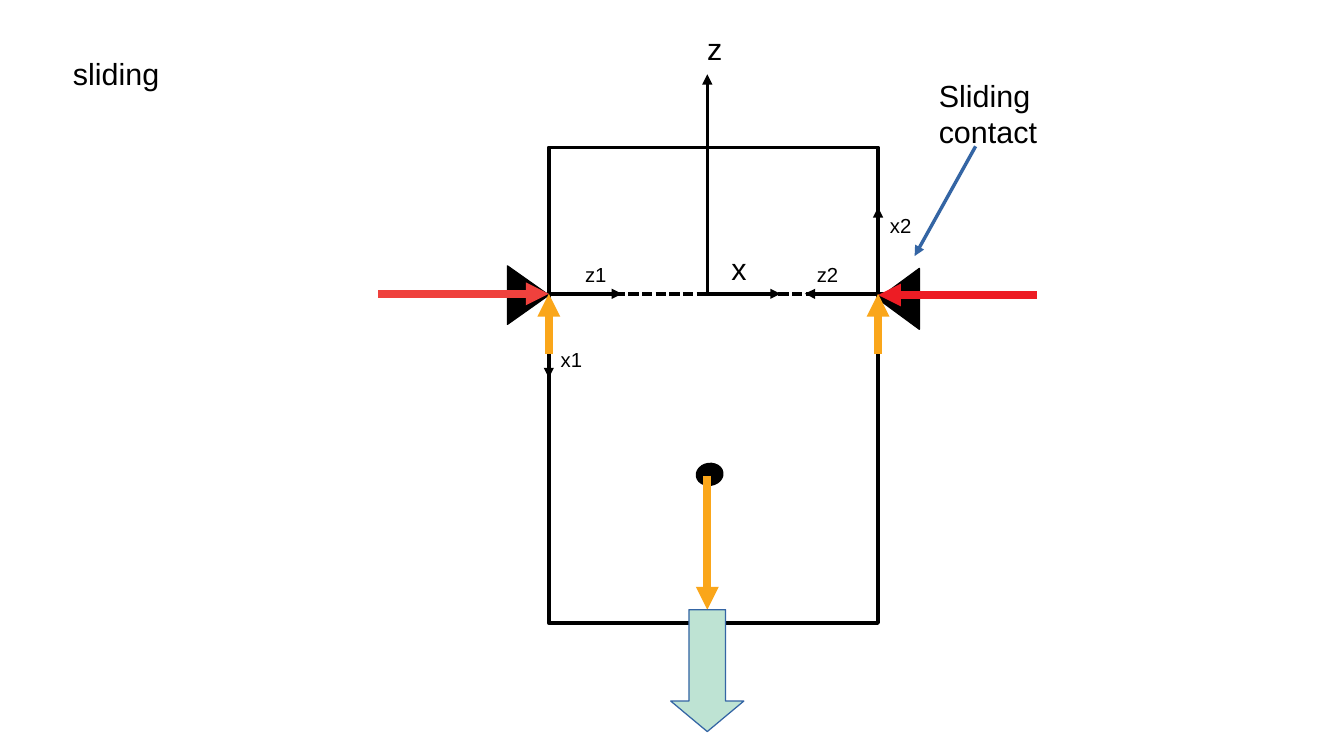
from pptx import Presentation
from pptx.dml.color import RGBColor
from pptx.enum import dml, shapes, text
from pptx.oxml import ns
from pptx.util import Pt
from lxml import etree

# Key places, in points
LEFT, MID, RIGHT = 324, 417.6, 518.4   # block sides and z axis
AXIS = 173.5                           # height of the contact points
BLACK, GOLD, BLUE = "000000", "FAA61A", "3465A4"

# Lines: start, end, colour, width, arrowhead at end, dashed
THIN = [
    ((MID, AXIS), (460.8, AXIS), BLACK, 0, True, False),
    ((MID, AXIS), (MID, 43.9), BLACK, 0, True, False),
    ((266.4, AXIS), (568.8, AXIS), BLACK, 0, False, True),
    ((RIGHT, AXIS), (475.2, AXIS), BLACK, 0, True, False),
    ((RIGHT, AXIS), (RIGHT, 122.4), BLACK, 0, True, False),
    ((LEFT, AXIS), (367.2, AXIS), BLACK, 0, True, False),
    ((LEFT, AXIS), (LEFT, 223.2), BLACK, 0, True, False),
    ((576, 86.4), (540, 151.2), BLUE, 0, True, False),
]
FORCES = [
    ((612, 174.2), (RIGHT, 174.2), "ED1C24", 4.5, True, False),
    ((223.2, AXIS), (LEFT, AXIS), "EF413D", 4.5, True, False),
    ((LEFT, 208.8), (LEFT, AXIS), GOLD, 4.5, True, False),
    ((RIGHT, 208.8), (RIGHT, AXIS), GOLD, 4.5, True, False),
    ((MID, 280.8), (MID, 360), GOLD, 4.5, True, False),
]
# Solids: preset, box, turn, fill, line, line width
KIND = shapes.MSO_SHAPE
BLOCK = (KIND.RECTANGLE, (LEFT, 87.1, RIGHT - LEFT, 280.8), 0, None, BLACK, 2.3)
PARTS = [
    (KIND.ISOSCELES_TRIANGLE, (512.6, 164.2, 36, 24.5), 270, BLACK, BLACK, 0),
    (KIND.ISOSCELES_TRIANGLE, (294.5, 162, 34.6, 24.5), 90, BLACK, BLACK, 0),
    (KIND.FLOWCHART_OR, (411.1, 273.6, 15.8, 13), 351.9, BLACK, BLACK, 0),
]
PULL = (KIND.DOWN_ARROW, (396, 360, 43.2, 72), 0, "BEE3D3", BLUE, 0)
# Labels: words, box, size
LABELS = [
    ("z", (410.4, 14.4, 57.6, 50.4), 18),
    ("x", (424.8, 144, 43.2, 47.5), 18),
    ("z1", (338.4, 151.2, 43.2, 33.8), 12),
    ("x1", (324, 201.6, 43.2, 33.8), 12),
    ("z2", (475.2, 151.2, 43.2, 33.8), 12),
    ("x2", (518.4, 122.4, 43.2, 33.8), 12),
    ("sliding", (36, 28.8, 223.2, 27.4), 18),
    ("Sliding contact", (547.2, 41.8, 129.6, 87.8), 18),
]

deck = Presentation()
deck.slide_width, deck.slide_height = Pt(793.5), Pt(446.4)
slide = deck.slides.add_slide(deck.slide_layouts[6])


def paint(fmt, hue):
    fmt.solid()
    fmt.fore_color.rgb = RGBColor.from_string(hue)


def add_line(start, end, hue, width, head, dash):
    link = slide.shapes.add_connector(
        shapes.MSO_CONNECTOR.STRAIGHT, *map(Pt, start + end))
    paint(link.line.fill, hue)
    link.line.width = Pt(width)
    if dash:
        link.line.dash_style = dml.MSO_LINE.SQUARE_DOT
    props = link._element.spPr
    if head:
        tip = etree.SubElement(props.find(ns.qn("a:ln")), ns.qn("a:tailEnd"))
        tip.set("type", "triangle")
    etree.SubElement(props, ns.qn("a:effectLst"))


def add_solid(kind, box, turn, fill, line, width):
    solid = slide.shapes.add_shape(kind, *map(Pt, box))
    solid.shadow.inherit = False
    solid.rotation = turn
    if fill:
        paint(solid.fill, fill)
    else:
        solid.fill.background()
    paint(solid.line.fill, line)
    solid.line.width = Pt(width)
    return solid


def add_label(words, box, size):
    frame = slide.shapes.add_textbox(*map(Pt, box)).text_frame
    frame.word_wrap = True
    frame.auto_size = text.MSO_AUTO_SIZE.SHAPE_TO_FIT_TEXT
    para = frame.paragraphs[0]
    para.text = words
    para.font.name, para.font.size = "Arial", Pt(size)
    paint(para.font.fill, BLACK)


# Block, axes, contacts and centre of mass
add_solid(*BLOCK)
for line in THIN:
    add_line(*line)
for part in PARTS:
    add_solid(*part)

# Forces, pull and labels
for line in FORCES:
    add_line(*line)
pull = add_solid(*PULL)
pull.adjustments[1] = 0.417
for label in LABELS:
    add_label(*label)

deck.save("out.pptx")
